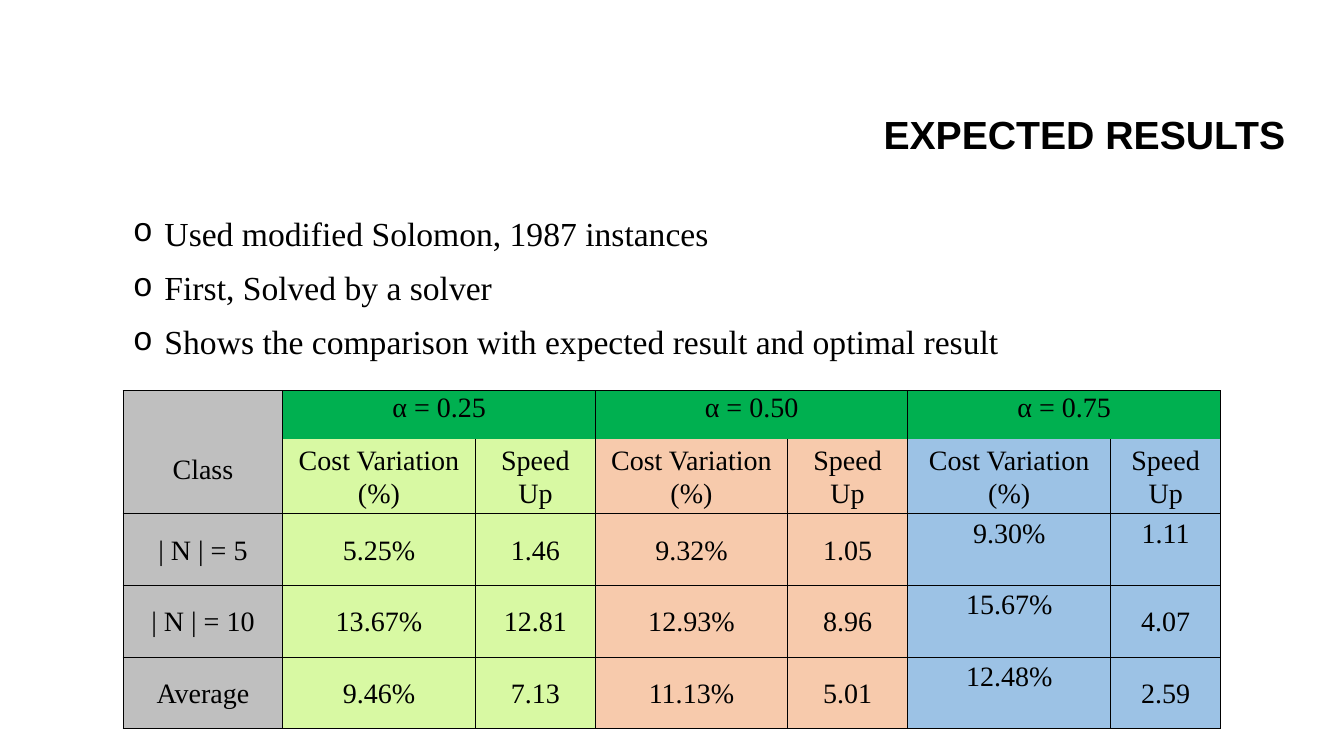
from lxml.etree import SubElement
from pptx import Presentation
from pptx.dml.color import RGBColor
from pptx.enum.text import MSO_ANCHOR, MSO_AUTO_SIZE, PP_ALIGN
from pptx.oxml.ns import qn
from pptx.util import Pt

COLORS = {
    "black": "000000",
    "class": "BFBFBF",
    "alpha": "00B050",
    "low": "D8F9A3",
    "middle": "F7CAAC",
    "high": "9CC2E5",
}
GROUPS = [("α = 0.25", "low"), ("α = 0.50", "middle"), ("α = 0.75", "high")]
MEASURES = ["Cost Variation (%)", "Speed Up"]
RESULTS = [
    ["| N | = 5", "5.25%", "1.46", "9.32%", "1.05", "9.30%", "1.11"],
    ["| N | = 10", "13.67%", "12.81", "12.93%", "8.96", "15.67%", "4.07"],
    ["Average", "9.46%", "7.13", "11.13%", "5.01", "12.48%", "2.59"],
]
RAISED = {(2, 5), (2, 6), (3, 5), (4, 5)}
COLUMN_WIDTHS = [114, 137.5, 86, 137, 86, 145, 78.5]
ROW_HEIGHTS = [34.5, 53.5, 51.2, 51.2, 51.2]
BULLETS = [
    "Used modified Solomon, 1987 instances",
    "First, Solved by a solver",
    "Shows the comparison with expected result and optimal result",
]
LINE_SPACING = 1.07
TEXT_LINE = 24.6


def rgb(name):
    return RGBColor.from_string(COLORS[name])


def place(shape, left, top, width, height):
    shape.left, shape.top = Pt(left), Pt(top)
    shape.width, shape.height = Pt(width), Pt(height)


def format_paragraph(paragraph, font_name, size, alignment, spacing, bold=False):
    paragraph.alignment = alignment
    paragraph.line_spacing = spacing
    paragraph.space_before = Pt(0)
    paragraph.font.name = font_name
    paragraph.font.size = Pt(size)
    paragraph.font.bold = bold
    paragraph.font.color.rgb = rgb("black")


def add_title(slide, text):
    title = slide.shapes.title
    place(title, 206.6, 46.8, 718.6, 101.5)
    title.text_frame.text = text
    title.text_frame.vertical_anchor = MSO_ANCHOR.MIDDLE
    format_paragraph(title.text_frame.paragraphs[0], "Arial", 28, PP_ALIGN.RIGHT, 0.9, True)


def set_bullet(paragraph, character, indent):
    properties = paragraph._p.get_or_add_pPr()
    properties.set("marL", str(Pt(indent)))
    properties.set("indent", str(-Pt(indent)))
    font = properties.makeelement(qn("a:buFont"), {"typeface": "Courier New"})
    bullet = properties.makeelement(qn("a:buChar"), {"char": character})
    properties.find(qn("a:defRPr")).addprevious(font)
    font.addnext(bullet)


def add_list(slide, items):
    body = slide.placeholders[1]
    place(body, 87.8, 146.2, 676.8, 114.5)
    frame = body.text_frame
    frame.text = "\n".join(items)
    frame.auto_size = MSO_AUTO_SIZE.NONE
    frame.vertical_anchor = MSO_ANCHOR.TOP
    for paragraph in frame.paragraphs:
        format_paragraph(paragraph, "Times New Roman", 24, PP_ALIGN.JUSTIFY, LINE_SPACING)
        paragraph.space_after = Pt(8)
        set_bullet(paragraph, "o", 22.5)


def set_borders(cell, hidden):
    properties = cell._tc.get_or_add_tcPr()
    for position, side in enumerate(["lnL", "lnR", "lnT", "lnB"]):
        line = properties.makeelement(qn(f"a:{side}"), {"w": str(Pt(1))})
        properties.insert(position, line)
        if side == hidden:
            SubElement(line, qn("a:noFill"))
        else:
            fill = SubElement(line, qn("a:solidFill"))
            SubElement(fill, qn("a:srgbClr"), val=COLORS["black"])


def fill_cell(cell, text, color, anchor=MSO_ANCHOR.MIDDLE, above=0, below=0, hidden=None):
    cell.text = text
    cell.vertical_anchor = anchor
    cell.margin_left = cell.margin_right = Pt(5)
    cell.margin_top, cell.margin_bottom = Pt(above), Pt(below)
    cell.fill.solid()
    cell.fill.fore_color.rgb = rgb(color)
    format_paragraph(
        cell.text_frame.paragraphs[0], "Times New Roman", 20, PP_ALIGN.CENTER, LINE_SPACING
    )
    set_borders(cell, hidden)


def fill_header(table):
    fill_cell(table.cell(0, 0), "Class", "class", above=TEXT_LINE)
    fill_cell(table.cell(1, 0), "", "class")
    table.cell(0, 0).merge(table.cell(1, 0))
    for group, (label, color) in enumerate(GROUPS):
        first = 1 + 2 * group
        for offset, measure in enumerate(MEASURES):
            text = "" if offset else label
            fill_cell(table.cell(0, first + offset), text, "alpha", MSO_ANCHOR.TOP, hidden="lnB")
            fill_cell(table.cell(1, first + offset), measure, color, hidden="lnT")
        table.cell(0, first).merge(table.cell(0, first + 1))


def add_results_table(slide):
    frame = slide.shapes.add_table(
        len(ROW_HEIGHTS), len(COLUMN_WIDTHS),
        Pt(88), Pt(279), Pt(sum(COLUMN_WIDTHS)), Pt(sum(ROW_HEIGHTS)),
    )
    table = frame.table
    table.first_row = table.horz_banding = False
    for column, width in zip(table.columns, COLUMN_WIDTHS):
        column.width = Pt(width)
    for row, height in zip(table.rows, ROW_HEIGHTS):
        row.height = Pt(height)
    fill_header(table)
    column_colors = ["class"] + [color for _, color in GROUPS for _ in MEASURES]
    for row, values in enumerate(RESULTS, start=2):
        for column, (text, color) in enumerate(zip(values, column_colors)):
            below = TEXT_LINE if (row, column) in RAISED else 0
            fill_cell(table.cell(row, column), text, color, below=below)


def main():
    presentation = Presentation()
    presentation.slide_width, presentation.slide_height = Pt(960), Pt(540)
    slide = presentation.slides.add_slide(presentation.slide_layouts[1])
    add_title(slide, "EXPECTED RESULTS")
    add_results_table(slide)
    add_list(slide, BULLETS)
    presentation.save("out.pptx")


if __name__ == "__main__":
    main()
